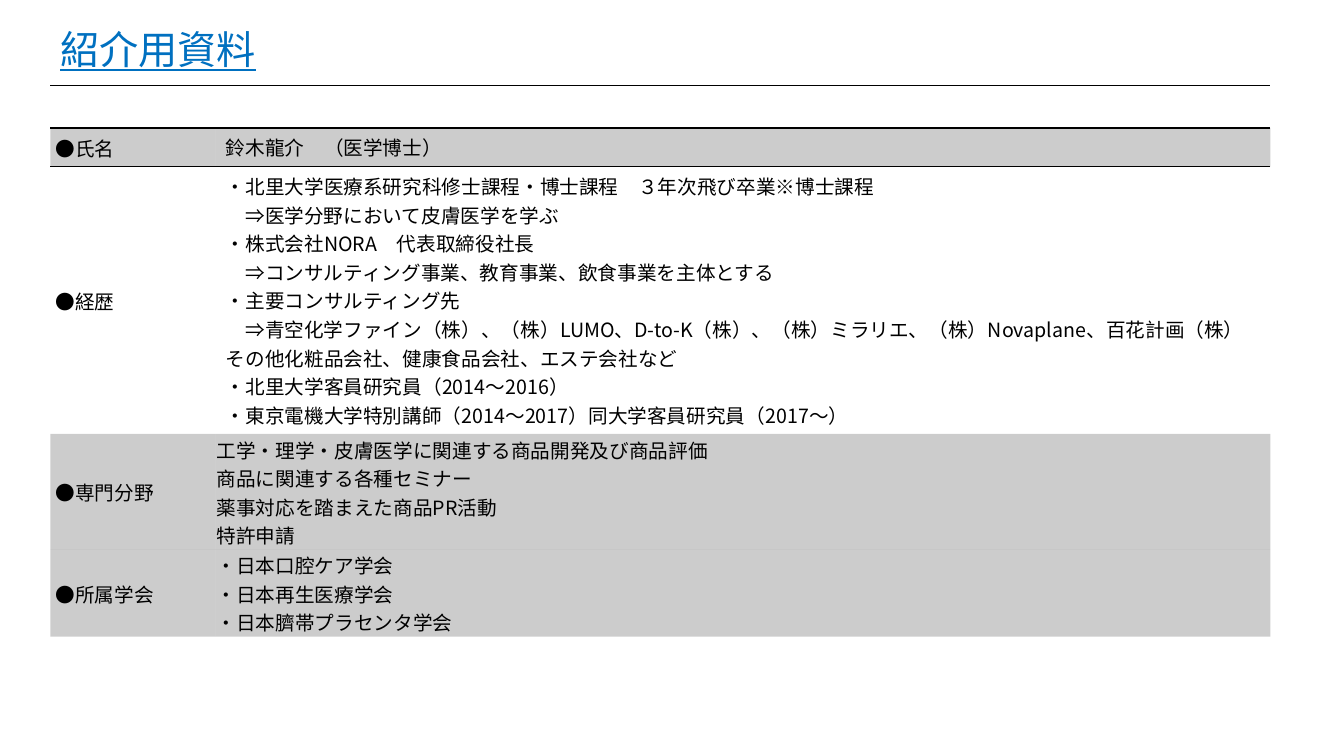
"""Build a one-slide personal profile with a title and a table."""
from lxml import etree
from pptx import Presentation
from pptx.dml.color import RGBColor
from pptx.enum.text import MSO_ANCHOR
from pptx.oxml.ns import qn
from pptx.util import Inches, Pt

TITLE = "紹介用資料"
PROFILE = [
    ("●氏名", ["鈴木龍介　（医学博士）"]),
    ("●経歴", [
        "・北里大学医療系研究科修士課程・博士課程　３年次飛び卒業※博士課程",
        "⇒医学分野において皮膚医学を学ぶ",
        "・株式会社NORA　代表取締役社長",
        "⇒コンサルティング事業、教育事業、飲食事業を主体とする",
        "・主要コンサルティング先",
        "⇒青空化学ファイン（株）、（株）LUMO、D-to-K（株）、（株）ミラリエ、"
        "（株）Novaplane、百花計画（株）その他化粧品会社、健康食品会社、エステ会社など",
        "・北里大学客員研究員（2014～2016）",
        "・東京電機大学特別講師（2014～2017）同大学客員研究員（2017～）",
    ]),
    ("●専門分野", [
        "工学・理学・皮膚医学に関連する商品開発及び商品評価",
        "商品に関連する各種セミナー",
        "薬事対応を踏まえた商品PR活動",
        "特許申請",
    ]),
    ("●所属学会", ["・日本口腔ケア学会", "・日本再生医療学会", "・日本臍帯プラセンタ学会"]),
]
SHADED_ROWS = {1, 3, 4}
PADDED_ROWS = {1, 2}
COLUMN_WIDTHS = [1.64, 10.46]
ROW_HEIGHTS = [0.42, 0.38, 2.65, 1.15, 0.86]
COLORS = {"title": "0070C0", "text": "000000", "line": "000000", "shade": "000000"}
FONT = "Noto Sans CJK JP"
BODY_SIZE = 14
SHADE_ALPHA = "20000"
NO_GRID_STYLE = "{2D5ABB26-0587-4C30-8999-92F81FD0307C}"
MIDDLE = MSO_ANCHOR.MIDDLE


def format_runs(paragraph, size, color):
    for run in paragraph.runs:
        run.font.size = Pt(size)
        run.font.name = FONT
        run.font.color.rgb = RGBColor.from_string(COLORS[color])
        east_asian = etree.SubElement(run.font._element, qn("a:ea"))
        east_asian.set("typeface", FONT)


def set_margins(cell, left, right, top, bottom):
    cell.margin_left, cell.margin_right = Inches(left), Inches(right)
    cell.margin_top, cell.margin_bottom = Inches(top), Inches(bottom)


def write_cell(cell, lines):
    cell.text_frame.text = "\n".join(lines)
    for paragraph in cell.text_frame.paragraphs:
        if paragraph.text.startswith("⇒"):
            paragraph._p.get_or_add_pPr().set("indent", str(Pt(BODY_SIZE)))
        format_runs(paragraph, BODY_SIZE, "text")


def shade_cell(cell):
    cell.fill.solid()
    cell.fill.fore_color.rgb = RGBColor.from_string(COLORS["shade"])
    color = cell._tc.tcPr.find(qn("a:solidFill"))[0]
    etree.SubElement(color, qn("a:alpha")).set("val", SHADE_ALPHA)


def add_borders(cell, sides):
    properties = cell._tc.get_or_add_tcPr()
    for position, side in enumerate(sides):
        line = etree.Element(qn("a:ln" + side), w=str(Pt(1)))
        fill = etree.SubElement(line, qn("a:solidFill"))
        etree.SubElement(fill, qn("a:srgbClr")).set("val", COLORS["line"])
        properties.insert(position, line)


def add_title(slide):
    box = slide.shapes.add_textbox(Inches(0.5), Inches(0.2), Inches(2.17), Inches(0.57))
    box.text_frame.word_wrap = False
    box.text_frame.text = TITLE
    paragraph = box.text_frame.paragraphs[0]
    format_runs(paragraph, 28, "title")
    paragraph.runs[0].font.underline = True


def add_profile(slide):
    frame = slide.shapes.add_table(
        len(ROW_HEIGHTS), len(COLUMN_WIDTHS), Inches(0.5), Inches(0.85),
        Inches(sum(COLUMN_WIDTHS)), Inches(sum(ROW_HEIGHTS)))
    table = frame.table
    table.first_row = table.horz_banding = False
    table._tbl.tblPr.find(qn("a:tableStyleId")).text = NO_GRID_STYLE
    for column, width in zip(table.columns, COLUMN_WIDTHS):
        column.width = Inches(width)
    for row, height in zip(table.rows, ROW_HEIGHTS):
        row.height = Inches(height)

    table.cell(0, 0).merge(table.cell(0, 1))
    for cell in table.rows[0].cells:
        set_margins(cell, 0, 0, 0, 0)
        add_borders(cell, "TB")
    for index, (label, lines) in enumerate(PROFILE, start=1):
        heading, detail = table.rows[index].cells
        write_cell(heading, [label])
        write_cell(detail, lines)
        heading.vertical_anchor = MIDDLE
        set_margins(heading, 0.05, 0.01, 0.01, 0)
        if index not in PADDED_ROWS:
            detail.vertical_anchor = MIDDLE
            set_margins(detail, 0.01, 0.01, 0.01, 0)
        for cell in (heading, detail):
            if index in SHADED_ROWS:
                shade_cell(cell)
            if index == 1:
                add_borders(cell, "T")


def main():
    presentation = Presentation()
    presentation.slide_width, presentation.slide_height = Inches(13.33), Inches(7.5)
    slide = presentation.slides.add_slide(presentation.slide_layouts[6])
    add_profile(slide)
    add_title(slide)
    presentation.save("out.pptx")


if __name__ == "__main__":
    main()
